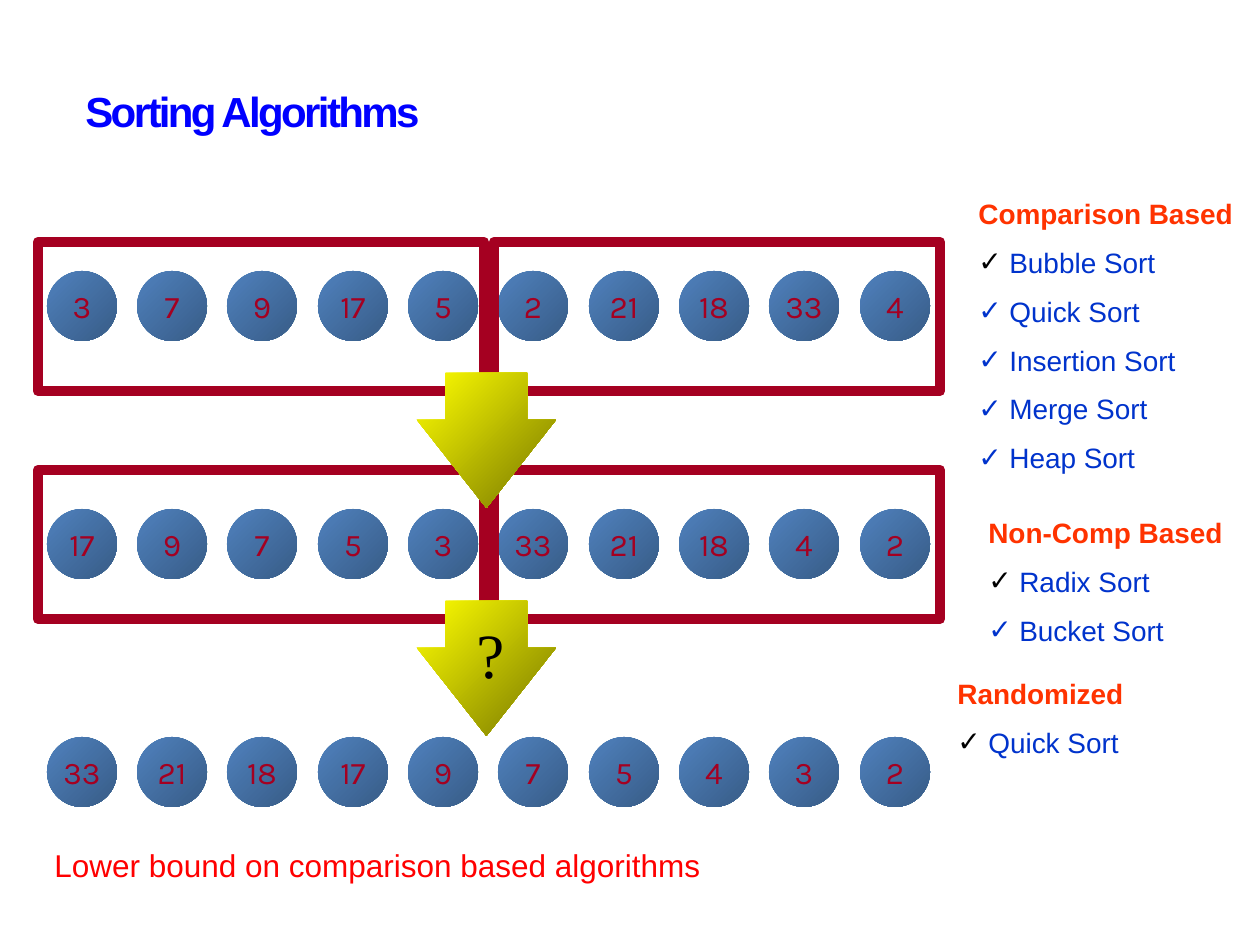
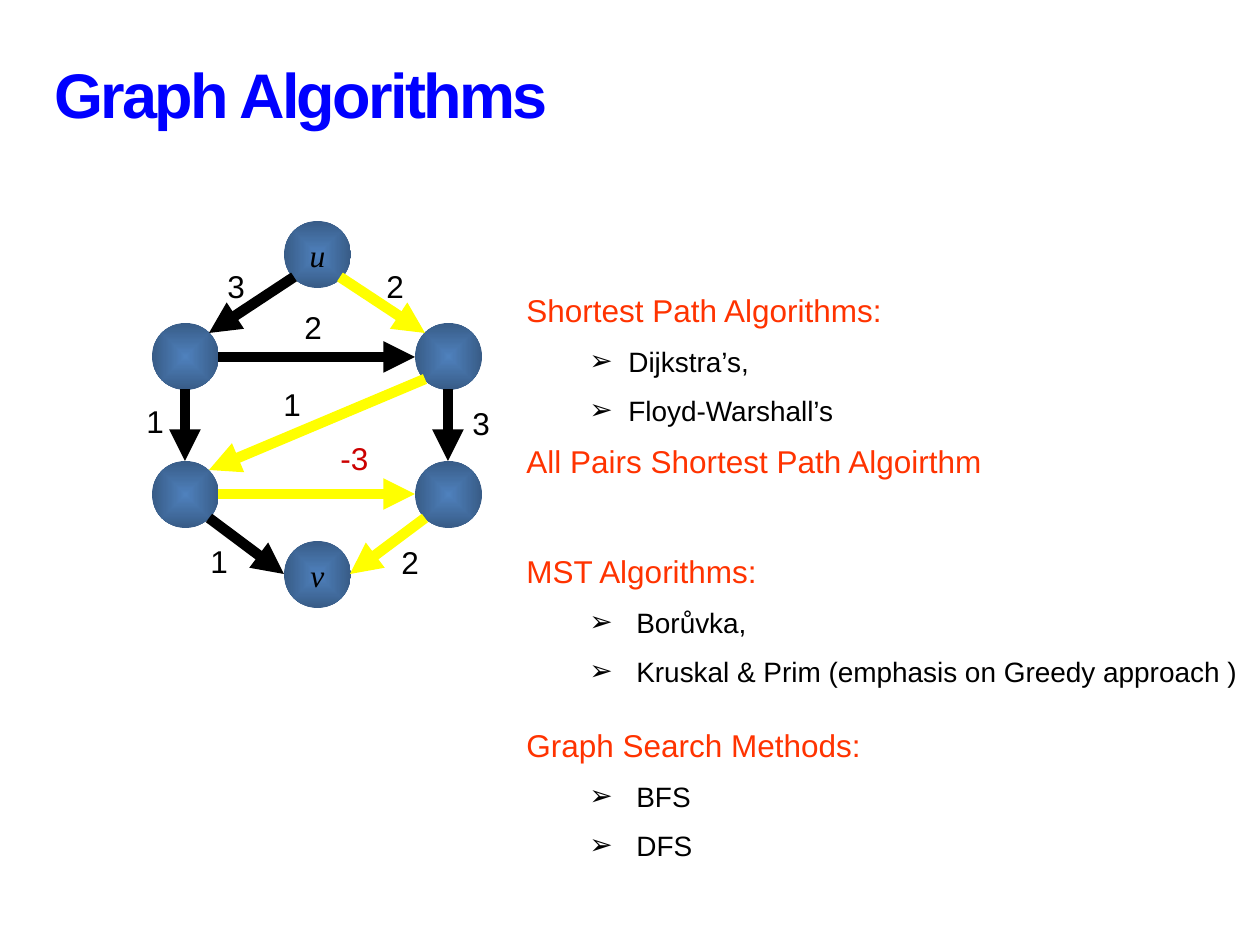
from dataclasses import dataclass
from typing import NamedTuple

from lxml.etree import SubElement
from pptx import Presentation
from pptx.dml.color import RGBColor
from pptx.enum.shapes import MSO_CONNECTOR, MSO_SHAPE
from pptx.enum.text import MSO_ANCHOR, PP_ALIGN
from pptx.oxml.ns import qn
from pptx.util import Emu, Pt

PX_PER_INCH = 126


def px(length: int) -> Emu:
    return Emu(length * 914400 // PX_PER_INCH)


# Colours and type shared by both slides
@dataclass(frozen=True)
class Theme:
    title: str = "0000FF"
    heading: str = "FF3300"
    link: str = "0033CC"
    note: str = "FF0000"
    negative: str = "CC0000"
    frame: str = "A50021"
    ball: str = "4F81BD"
    ball_shade: int = 46275
    arrow_light: str = "FFFF00"
    arrow_dark: str = "767600"
    black: str = "000000"
    sans: str = "Arial"
    serif: str = "Times New Roman"
    number: str = "Karla"
    small_title: int = 24
    large: int = 36
    body: int = 18
    item: int = 16
    gap: float = 8.8
    stroke: int = 6


THEME = Theme()


class Box(NamedTuple):
    left: int
    top: int
    width: int
    height: int

    def emu(self) -> list[Emu]:
        return [px(length) for length in self]


class Style(NamedTuple):
    size: int
    color: str
    font: str = THEME.sans
    bold: bool = False
    italic: bool = False


class Line(NamedTuple):
    text: str
    style: Style
    bullet: str = ""
    bullet_color: str = THEME.black
    margin: int = 0
    hang: int = 0


class Edge(NamedTuple):
    start: tuple[int, int]
    end: tuple[int, int]
    color: str = THEME.black


class Weight(NamedTuple):
    left: int
    top: int
    text: str
    width: int = 43
    color: str = THEME.black


SORT_HEAD = Style(THEME.item, THEME.heading, bold=True)
SORT_ITEM = Style(THEME.item, THEME.link)
GRAPH_HEAD = Style(THEME.body, THEME.heading)
GRAPH_ITEM = Style(THEME.item, THEME.black)
BALL_NUMBER = Style(THEME.body, THEME.frame, THEME.number)
NODE_NAME = Style(THEME.body, THEME.black, THEME.serif, italic=True)


# Text
def format_runs(para, style: Style) -> None:
    for span in para.runs:
        font = span.font
        font.size, font.name = Pt(style.size), style.font
        font.bold, font.italic = style.bold, style.italic
        font.color.rgb = RGBColor.from_string(style.color)


def add_bullet(para, line: Line) -> None:
    properties = para._p.get_or_add_pPr()
    properties.set("marL", str(px(line.margin)))
    properties.set("indent", str(-px(line.hang)))
    color = SubElement(properties, qn("a:buClr"))
    SubElement(color, qn("a:srgbClr"), val=line.bullet_color)
    SubElement(properties, qn("a:buFont"), typeface=THEME.sans)
    SubElement(properties, qn("a:buChar"), char=line.bullet)


def add_text(page, box: Box, lines: list[Line], wrap: bool = True):
    frame = page.shapes.add_textbox(*box.emu()).text_frame
    frame.word_wrap = wrap
    for index, line in enumerate(lines):
        para = frame.add_paragraph() if index else frame.paragraphs[0]
        para.text = line.text
        if line.bullet:
            add_bullet(para, line)
        if index:
            para.space_before = Pt(THEME.gap)
        format_runs(para, line.style)
    return frame


def add_title(page, box: Box, text: str, size: int) -> None:
    frame = add_text(page, box, [Line(text, Style(size, THEME.title, bold=True))])
    frame.vertical_anchor = MSO_ANCHOR.MIDDLE
    para = frame.paragraphs[0]
    para.line_spacing = Pt(36) if size == THEME.large else None
    para.runs[0]._r.get_or_add_rPr().set("spc", "-150")


def add_sort_list(page, box: Box, heading: str, items: list[str]) -> None:
    lines = [Line(heading, SORT_HEAD)]
    for index, item in enumerate(items):
        tick_color = THEME.link if index else THEME.black
        lines.append(Line(item, SORT_ITEM, "✓", tick_color, 31, 31))
    add_text(page, box, lines)


def add_graph_list(page, box: Box, heading: str, items: list[str],
                   margin: int = 110, closing: str = "") -> None:
    lines = [Line(heading, GRAPH_HEAD)]
    lines += [Line(item, GRAPH_ITEM, "➢", margin=margin, hang=margin - 63)
              for item in items]
    if closing:
        lines.append(Line(closing, GRAPH_HEAD))
    add_text(page, box, lines)


# Shapes
def add_plain_shape(page, kind: MSO_SHAPE, box: Box):
    shape = page.shapes.add_shape(kind, *box.emu())
    shape.shadow.inherit = False
    shape.line.fill.background()
    return shape


def fill_gradient(shape, first: str, last: str) -> None:
    shape.fill.gradient()
    shape.fill.gradient_angle = 315
    for stop, color, position in zip(shape.fill.gradient_stops, (first, last), (0, 1)):
        stop.color.rgb = RGBColor.from_string(color)
        stop.position = position


def add_ball(page, box: Box, text: str, style: Style, radial: bool = False) -> None:
    ball = add_plain_shape(page, MSO_SHAPE.OVAL, box)
    fill_gradient(ball, THEME.ball, THEME.ball)
    gradient = ball._element.spPr.find(qn("a:gradFill"))
    outer_color = gradient.findall(".//" + qn("a:srgbClr"))[-1]
    SubElement(outer_color, qn("a:shade"), val=str(THEME.ball_shade))
    if radial:
        linear = gradient.find(qn("a:lin"))
        center = linear.makeelement(qn("a:path"), {"path": "shape"})
        gradient.replace(linear, center)
        SubElement(center, qn("a:fillToRect"), dict.fromkeys("ltrb", "50000"))
    if text:
        frame = ball.text_frame
        frame.text = text
        frame.word_wrap = False
        frame.vertical_anchor = MSO_ANCHOR.MIDDLE
        frame.paragraphs[0].alignment = PP_ALIGN.CENTER
        format_runs(frame.paragraphs[0], style)


def add_frame(page, box: Box) -> None:
    frame = add_plain_shape(page, MSO_SHAPE.RECTANGLE, box)
    frame.fill.background()
    frame.line.color.rgb = RGBColor.from_string(THEME.frame)
    frame.line.width = Pt(THEME.stroke)


def add_down_arrow(page, box: Box) -> None:
    arrow = add_plain_shape(page, MSO_SHAPE.DOWN_ARROW, box)
    arrow.adjustments[0], arrow.adjustments[1] = 0.587, 0.652
    fill_gradient(arrow, THEME.arrow_light, THEME.arrow_dark)


def add_edge(page, edge: Edge) -> None:
    ends = [px(length) for length in (*edge.start, *edge.end)]
    connector = page.shapes.add_connector(MSO_CONNECTOR.STRAIGHT, *ends)
    connector.line.color.rgb = RGBColor.from_string(edge.color)
    connector.line.width = Pt(THEME.stroke)
    SubElement(connector.line._get_or_add_ln(), qn("a:tailEnd"), type="triangle")
    SubElement(connector._element.spPr, qn("a:effectLst"))


# Slide 1
def build_sorting(page) -> None:
    add_title(page, Box(73, 32, 1134, 158), "Sorting Algorithms", THEME.small_title)

    # Number rows: the input, the sorted halves, the merged result
    first_left, last_left, diameter = 47, 860, 70
    rows = {
        271: [3, 7, 9, 17, 5, 2, 21, 18, 33, 4],
        509: [17, 9, 7, 5, 3, 33, 21, 18, 4, 2],
        737: [33, 21, 18, 17, 9, 7, 5, 4, 3, 2],
    }
    for top, numbers in rows.items():
        for index, number in enumerate(numbers):
            left = first_left + index * (last_left - first_left) // (len(numbers) - 1)
            add_ball(page, Box(left, top, diameter, diameter), str(number), BALL_NUMBER)

    # Halves and the steps between rows
    step_pitch = 228
    for step in range(2):
        for left in (38, 494):
            add_frame(page, Box(left, 242 + step * step_pitch, 446, 149))
    for step in range(2):
        add_down_arrow(page, Box(417, 373 + step * step_pitch, 139, 135))
    question = Style(THEME.large, THEME.black, THEME.serif)
    add_text(page, Box(464, 609, 53, 88), [Line("?", question)], wrap=False)

    # Families of algorithms
    add_sort_list(page, Box(966, 190, 284, 301), "Comparison Based",
                  ["Bubble Sort", "Quick Sort", "Insertion Sort", "Merge Sort", "Heap Sort"])
    add_sort_list(page, Box(976, 509, 264, 149), "Non-Comp Based",
                  ["Radix Sort", "Bucket Sort"])
    add_sort_list(page, Box(945, 670, 195, 97), "Randomized", ["Quick Sort"])
    add_text(page, Box(42, 840, 872, 53),
             [Line("Lower bound on comparison based algorithms",
                   Style(THEME.body, THEME.note))])


# Slide 2
def build_graphs(page) -> None:
    add_title(page, Box(42, 21, 872, 158), "Graph Algorithms", THEME.large)

    # Nodes
    for left, top, name in [(284, 221, "u"), (152, 323, ""), (415, 323, ""),
                            (152, 461, ""), (415, 461, ""), (284, 541, "v")]:
        add_ball(page, Box(left, top, 67, 67), name, NODE_NAME, radial=True)

    # Edges, with the shortest path in yellow
    highlight = THEME.arrow_light
    for edge in [
        Edge((294, 277), (209, 333)),
        Edge((218, 357), (415, 357)),
        Edge((185, 389), (185, 461)),
        Edge((448, 389), (448, 461)),
        Edge((209, 518), (284, 574)),
        Edge((340, 277), (425, 333), highlight),
        Edge((425, 379), (209, 470), highlight),
        Edge((218, 494), (415, 494), highlight),
        Edge((425, 518), (350, 574), highlight),
    ]:
        add_edge(page, edge)

    # Edge weights
    for weight in [
        Weight(215, 261, "3"), Weight(374, 261, "2"), Weight(292, 302, "2"),
        Weight(271, 379, "1"), Weight(134, 396, "1"), Weight(460, 398, "3"),
        Weight(328, 433, "-3", 53, THEME.negative),
        Weight(198, 536, "1"), Weight(389, 537, "2"),
    ]:
        add_text(page, Box(weight.left, weight.top, weight.width, 50),
                 [Line(weight.text, Style(THEME.body, weight.color))], wrap=False)

    # Topics
    add_graph_list(page, Box(514, 285, 714, 208), "Shortest Path Algorithms:",
                   ["Dijkstra’s,", "Floyd-Warshall’s"], 102,
                   "All Pairs Shortest Path Algoirthm")
    add_graph_list(page, Box(514, 546, 746, 151), "MST Algorithms:",
                   ["Borůvka,", "Kruskal & Prim (emphasis on Greedy approach )"])
    add_graph_list(page, Box(514, 720, 599, 151), "Graph Search Methods:", ["BFS", "DFS"])


def main() -> None:
    deck = Presentation()
    deck.slide_width, deck.slide_height = px(1260), px(945)
    blank = deck.slide_layouts[6]
    for build in (build_sorting, build_graphs):
        build(deck.slides.add_slide(blank))
    deck.save("out.pptx")


if __name__ == "__main__":
    main()
